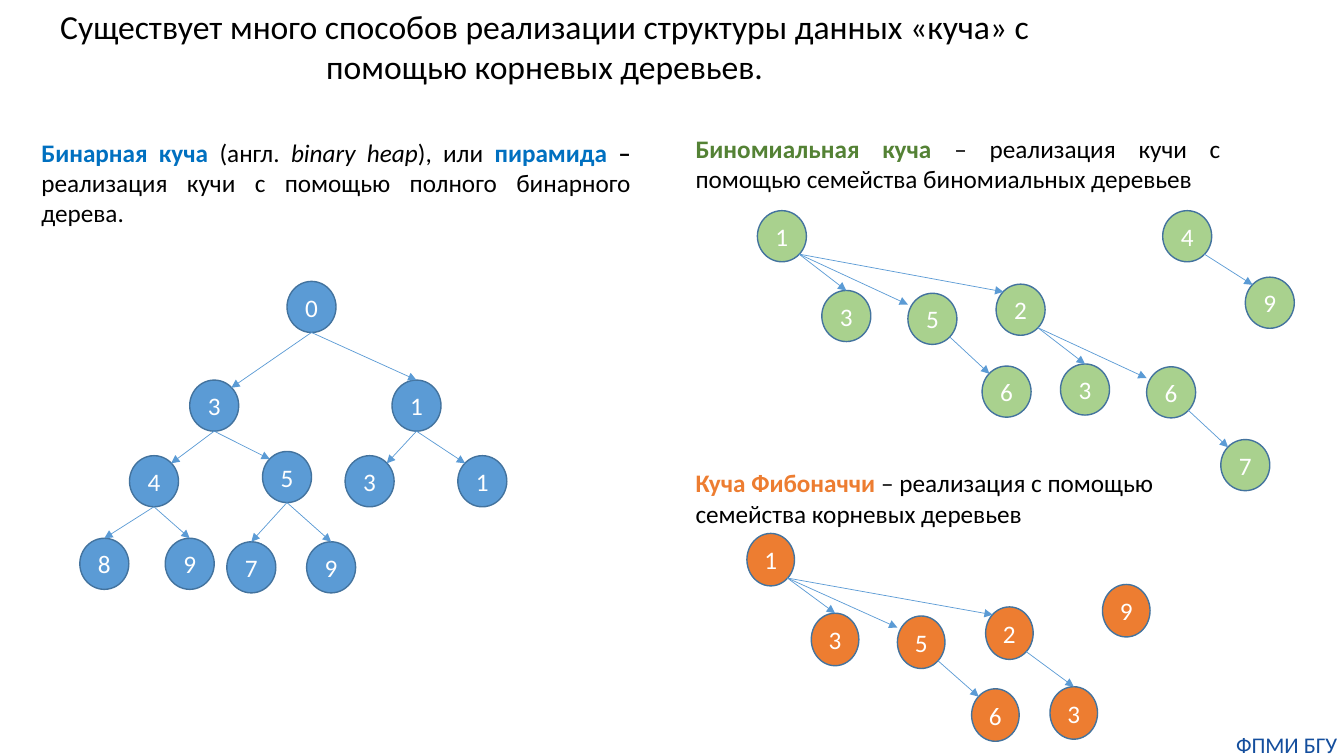
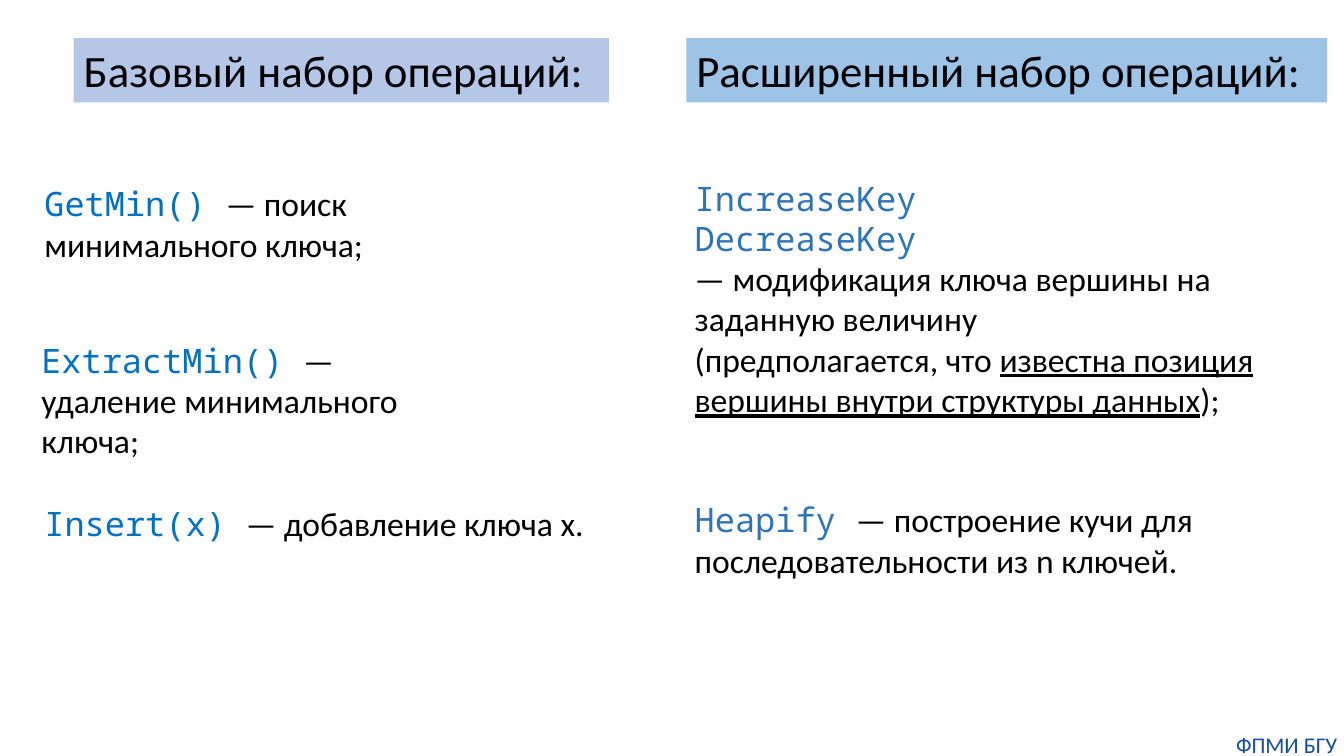
from lxml.etree import SubElement
from pptx import Presentation
from pptx.dml.color import RGBColor
from pptx.enum.shapes import MSO_CONNECTOR, MSO_SHAPE
from pptx.enum.text import MSO_ANCHOR, MSO_AUTO_SIZE, PP_ALIGN
from pptx.oxml.ns import qn
from pptx.util import Pt

BLACK = RGBColor(0x00, 0x00, 0x00)
WHITE = RGBColor(0xFF, 0xFF, 0xFF)
NAVY = RGBColor(0x14, 0x4E, 0x9D)
TERM_BLUE = RGBColor(0x00, 0x70, 0xC0)
EXTRA_BLUE = RGBColor(0x2E, 0x75, 0xB6)
TERM_GREEN = RGBColor(0x54, 0x82, 0x35)
NODE_BLUE = RGBColor(0x5B, 0x9B, 0xD5)
NODE_GREEN = RGBColor(0xA9, 0xD1, 0x8E)
ORANGE = RGBColor(0xED, 0x7D, 0x31)
NODE_OUTLINE = RGBColor(0x43, 0x73, 0x9E)
BASIC_BAND = RGBColor(0xB4, 0xC7, 0xE7)
EXTENDED_BAND = RGBColor(0x9D, 0xC3, 0xE6)

TEXT_FONT = "Calibri"
CODE_FONT = "Noto Sans Mono"
COMPARISON_LAYOUT = 4

# Connection sites of an ellipse: site number, then share of width and height.
SITES = {
    "top": (0, 0.5, 0),
    "upper left": (1, 0.15, 0.15),
    "bottom": (4, 0.5, 1),
    "lower right": (5, 0.85, 0.85),
    "upper right": (7, 0.85, 0.15),
    "left edge": (None, 0, 0.22),
}

# Nodes: key -> (label, x, y) from the corner of the tree.
BINARY_NODES = {
    "root": ("0", 148, 0),
    "left": ("3", 78.5, 70.5),
    "right": ("1", 223, 70.5),
    "left-left": ("4", 35.5, 124.5),
    "left-right": ("5", 130.5, 121.5),
    "right-left": ("3", 189.5, 124.5),
    "right-right": ("1", 270, 124.5),
    "leaf 1": ("8", 0, 183.5),
    "leaf 2": ("9", 61, 183.5),
    "leaf 3": ("7", 105, 186),
    "leaf 4": ("9", 162, 186),
}
BINARY_EDGES = [
    ("root", "bottom", "left", "upper right"),
    ("root", "bottom", "right", "top"),
    ("left", "bottom", "left-left", "upper right"),
    ("left", "bottom", "left-right", "upper left"),
    ("right", "bottom", "right-left", "upper right"),
    ("right", "bottom", "right-right", "upper left"),
    ("left-left", "bottom", "leaf 1", "top"),
    ("left-left", "bottom", "leaf 2", "top"),
    ("left-right", "bottom", "leaf 3", "top"),
    ("left-right", "bottom", "leaf 4", "top"),
]
# The part that the binomial and the Fibonacci heap have in common.
FAMILY_NODES = {
    "root": ("1", 0, 0),
    "first": ("3", 46, 57),
    "second": ("5", 107.5, 59),
    "third": ("2", 170.5, 52.5),
    "second child": ("6", 160.5, 111),
    "third child": ("3", 216.5, 109.5),
}
FAMILY_EDGES = [
    ("root", "lower right", "first", "top"),
    ("root", "lower right", "second", "left edge"),
    ("root", "lower right", "third", "upper left"),
    ("second", "lower right", "second child", "upper left"),
    ("third", "lower right", "third child", "top"),
]
BINOMIAL_NODES = FAMILY_NODES | {
    "third second child": ("6", 278, 111.5),
    "deepest": ("7", 331, 163.5),
    "small root": ("4", 289.5, 0),
    "small child": ("9", 348.5, 47.5),
}
BINOMIAL_EDGES = FAMILY_EDGES + [
    ("third", "lower right", "third second child", "left edge"),
    ("third second child", "lower right", "deepest", "upper left"),
    ("small root", "lower right", "small child", "upper left"),
]
FIBONACCI_NODES = FAMILY_NODES | {"single": ("9", 254, 36.5)}


def set_attributes(target, values):
    for name, value in values.items():
        setattr(target, name, value)


def place(shape, box):
    names = ("left", "top", "width", "height")
    set_attributes(shape, dict(zip(names, map(Pt, box))))


def write(shape, paragraphs, size, align=PP_ALIGN.LEFT, gaps=None, **frame_format):
    """Fill the shape; a paragraph is a list of (text, colour, font values) runs.

    gaps maps a paragraph number to the space before it.
    """
    frame = shape.text_frame
    set_attributes(frame, {"word_wrap": True, "auto_size": MSO_AUTO_SIZE.NONE,
                           "vertical_anchor": MSO_ANCHOR.TOP} | frame_format)
    for number, runs in enumerate(paragraphs):
        paragraph = frame.add_paragraph() if number else frame.paragraphs[0]
        set_attributes(paragraph, {"alignment": align, "space_after": Pt(0),
                                   "space_before": Pt((gaps or {}).get(number, 0))})
        properties = paragraph._p.get_or_add_pPr()
        properties.set("marL", "0")
        properties.set("indent", "0")
        SubElement(properties, qn("a:buNone"))
        for text, color, values in runs:
            run = paragraph.add_run()
            run.text = text
            set_attributes(run.font, {"name": TEXT_FONT, "size": Pt(size),
                                      "bold": False} | values)
            run.font.color.rgb = color


def fill_placeholder(slide, index, box, paragraphs, size, **formats):
    shape = slide.placeholders[index]
    place(shape, box)
    write(shape, paragraphs, size, **formats)
    return shape


def put_footer_on_layout(layout, slide):
    """Build the footer on a slide, then hand it to the layout all slides use."""
    footer = slide.shapes.add_textbox(*map(Pt, (878.4, 522, 81.4, 19.4)))
    write(footer, [[("ФПМИ БГУ", NAVY, {})]], 16, align=PP_ALIGN.CENTER,
          margin_left=0, margin_right=0, margin_top=0, margin_bottom=0)
    layout.placeholders[0].element.getparent().append(footer.element)


def add_node(shapes, label, box, color):
    node = shapes.add_shape(MSO_SHAPE.OVAL, *map(Pt, box))
    node.shadow.inherit = False
    node.fill.solid()
    node.fill.fore_color.rgb = color
    node.line.color.rgb = NODE_OUTLINE
    node.line.width = Pt(1)
    write(node, [[(label, WHITE, {})]], 18, align=PP_ALIGN.CENTER,
          vertical_anchor=MSO_ANCHOR.MIDDLE, margin_left=0, margin_right=0)
    return node


def add_arrow(shapes, parent, parent_site, child, child_site):
    ends = [(parent, "a:stCxn", SITES[parent_site]),
            (child, "a:endCxn", SITES[child_site])]
    points = [coordinate for node, _, (_, across, down) in ends
              for coordinate in (int(node.left + node.width * across),
                                 int(node.top + node.height * down))]
    arrow = shapes.add_connector(MSO_CONNECTOR.STRAIGHT, *points)
    arrow.line.color.rgb = NODE_BLUE
    arrow.line.width = Pt(0.5)
    SubElement(arrow.line._get_or_add_ln(), qn("a:tailEnd"), type="triangle")
    SubElement(arrow.element.spPr, qn("a:effectLst"))
    joints = arrow.element.find(".//" + qn("p:cNvCxnSpPr"))
    for node, tag, (site, _, _) in ends:
        if site is not None:
            SubElement(joints, qn(tag), id=str(node.shape_id), idx=str(site))


def add_tree(slide, corner, nodes, edges, color, node_size=(35, 36.5)):
    shapes = slide.shapes.add_group_shape().shapes
    left, top = corner
    drawn = {key: add_node(shapes, label, (left + x, top + y, *node_size), color)
             for key, (label, x, y) in nodes.items()}
    for parent, parent_site, child, child_site in edges:
        add_arrow(shapes, drawn[parent], parent_site, drawn[child], child_site)


def build_heap_kinds(slide):
    title = ("Существует много способов реализации структуры данных «куча» "
             "с помощью корневых деревьев.")
    fill_placeholder(slide, 0, (3.6, 0.7, 771, 65.5), [[(title, BLACK, {})]], 24,
                     align=PP_ALIGN.CENTER)
    bold = {"bold": True}
    fill_placeholder(slide, 1, (22.3, 94.3, 435.6, 72.7), [[
        ("Бинарная куча ", TERM_BLUE, bold),
        ("(англ. ", BLACK, {}),
        ("binary heap", BLACK, {"italic": True}),
        ("), или ", BLACK, {}),
        ("пирамида ", TERM_BLUE, bold),
        ("– ", BLACK, bold),
        ("реализация кучи с помощью полного бинарного дерева.", BLACK, {}),
    ]], 18, align=PP_ALIGN.JUSTIFY)
    fill_placeholder(slide, 2, (489.6, 91.4, 389.5, 51), [[
        ("Биномиальная куча", TERM_GREEN, bold),
        (" – реализация кучи с помощью семейства биномиальных деревьев", BLACK, {}),
    ]], 18, align=PP_ALIGN.JUSTIFY)
    fill_placeholder(slide, 3, (489.6, 330.5, 389.5, 51), [[
        ("Куча Фибоначчи", ORANGE, bold),
        (" – реализация с помощью семейства корневых деревьев", BLACK, {}),
    ]], 18)
    unused = slide.placeholders[4].element
    unused.getparent().remove(unused)

    add_tree(slide, (57, 201), BINARY_NODES, BINARY_EDGES, NODE_BLUE)
    add_tree(slide, (541, 150.5), BINOMIAL_NODES, BINOMIAL_EDGES, NODE_GREEN)
    add_tree(slide, (533.5, 381), FIBONACCI_NODES, FAMILY_EDGES, ORANGE, (34, 37.5))


def format_band(shape, box, text, color):
    place(shape, box)
    shape.fill.solid()
    shape.fill.fore_color.rgb = color
    write(shape, [[(text, BLACK, {})]], 32, word_wrap=False)


def build_operations(slide):
    format_band(slide.shapes.title, (52.6, 27.2, 382.3, 46),
                "Базовый набор операций:", BASIC_BAND)
    format_band(slide.shapes.add_textbox(0, 0, 0, 0), (490.3, 27.2, 457.6, 46),
                "Расширенный набор операций:", EXTENDED_BAND)

    code = {"name": CODE_FONT}
    basic_operations = [
        ((24.5, 127.4, 379.4, 65.5), "GetMin() ", "— поиск минимального ключа;"),
        ((22.3, 239, 324.7, 65.5), "ExtractMin() ", "— удаление минимального ключа;"),
        ((24.5, 355.7, 449.3, 36), "Insert(x) ", "— добавление ключа x."),
    ]
    for index, (box, call, meaning) in enumerate(basic_operations, start=1):
        fill_placeholder(slide, index, box,
                         [[(call, TERM_BLUE, code), (meaning, BLACK, {})]], 24)

    fill_placeholder(slide, 4, (489, 123.1, 435.6, 296.6), [
        [("IncreaseKey", EXTRA_BLUE, code)],
        [("DecreaseKey", EXTRA_BLUE, code)],
        [("— модификация ключа вершины на заданную величину", BLACK, {})],
        [("(предполагается, что ", BLACK, {}),
         ("известна позиция вершины внутри структуры данных", BLACK,
          {"underline": True}),
         (");", BLACK, {})],
        [("Heapify ", EXTRA_BLUE, code),
         ("— построение кучи для последовательности из n ключей.", BLACK, {})],
    ], 24, gaps={4: 57})


def main():
    presentation = Presentation()
    presentation.slide_width, presentation.slide_height = Pt(960), Pt(540)
    layout = presentation.slide_layouts[COMPARISON_LAYOUT]
    slides = [presentation.slides.add_slide(layout) for _ in range(2)]
    put_footer_on_layout(layout, slides[0])
    for slide, build in zip(slides, (build_heap_kinds, build_operations)):
        build(slide)
    presentation.save("out.pptx")


if __name__ == "__main__":
    main()
